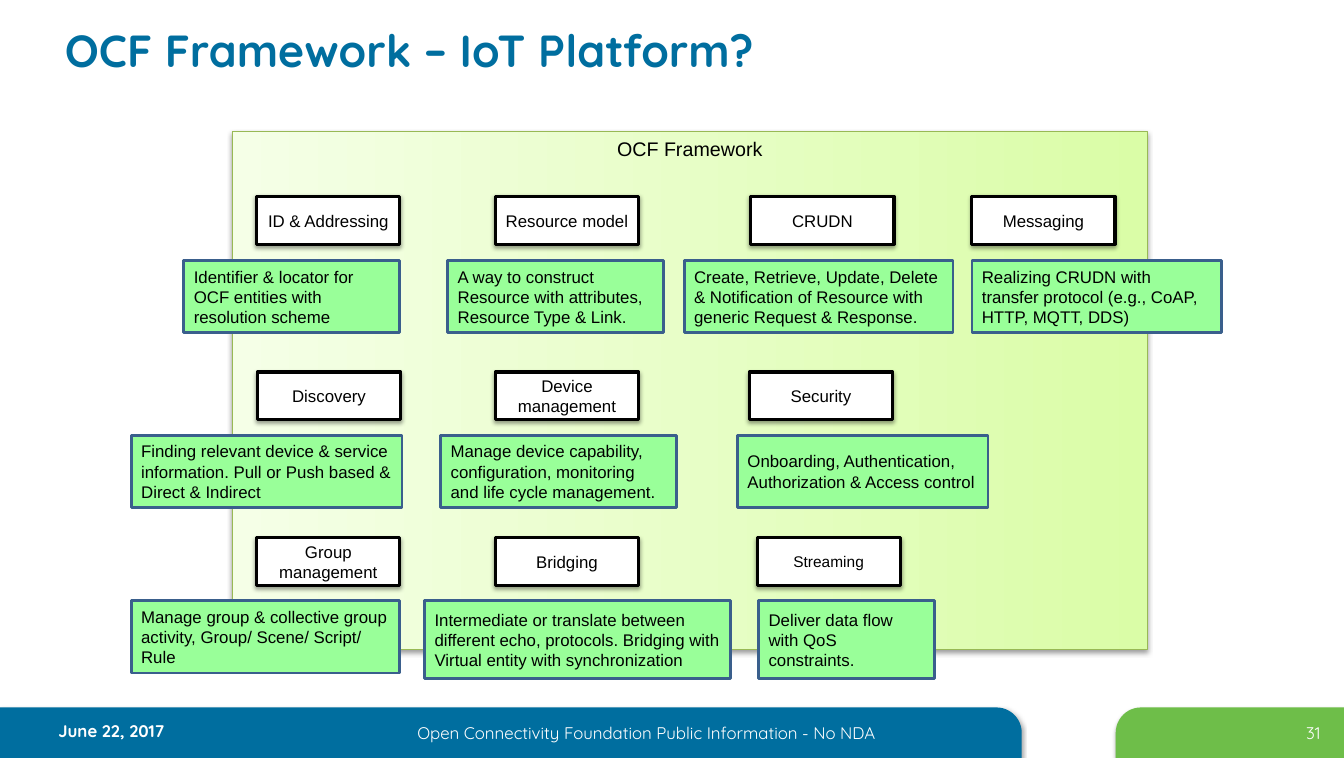
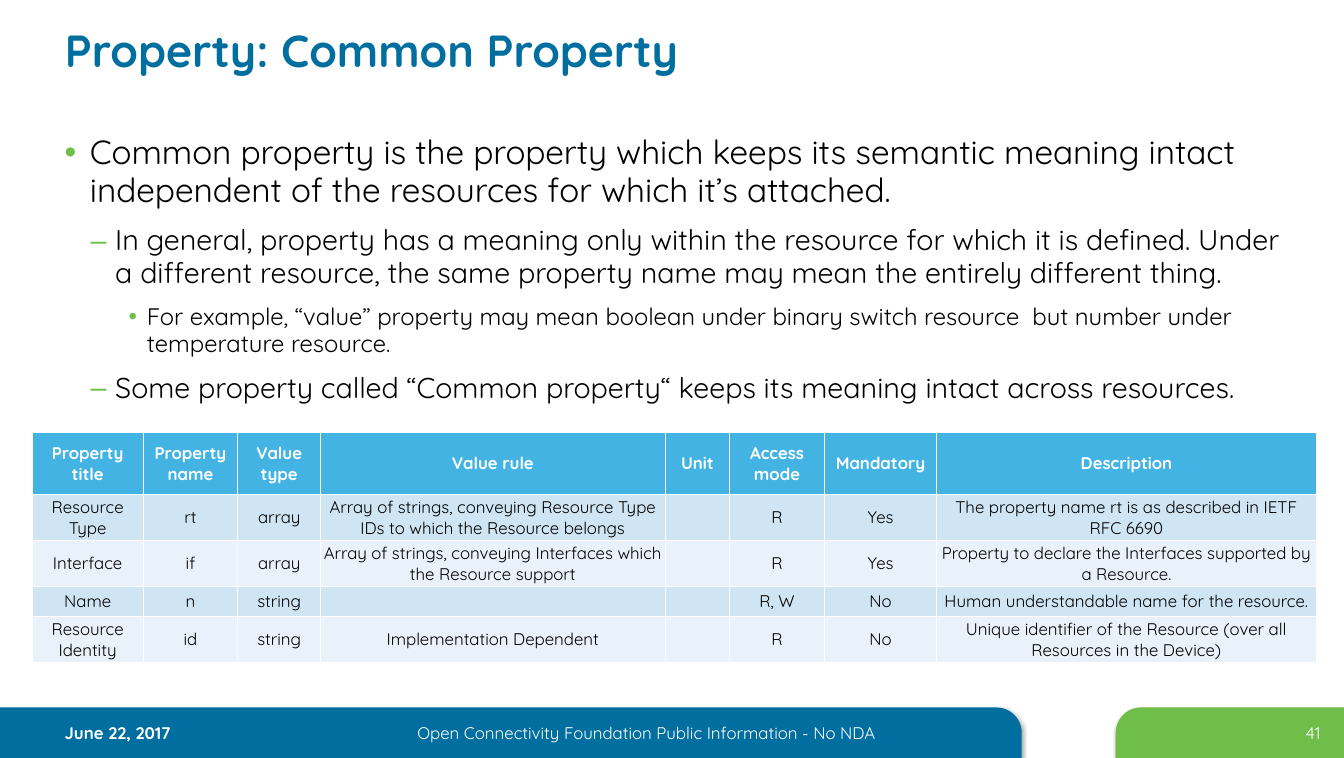
from lxml import etree
from pptx import Presentation
from pptx.dml.color import RGBColor
from pptx.enum import shapes, text
from pptx.oxml import ns
from pptx.util import Pt

BLUE = RGBColor(0x00, 0x6E, 0x9F)
GREEN = RGBColor(0x6E, 0xBE, 0x49)
WHITE = RGBColor(0xFF, 0xFF, 0xFF)
BLACK = RGBColor(0x00, 0x00, 0x00)
FRAME_LEFT = RGBColor(0xF5, 0xFF, 0xE7)
FRAME_RIGHT = RGBColor(0xDA, 0xFD, 0xA7)
FRAME_EDGE = RGBColor(0x98, 0xB9, 0x55)
NOTE_FILL = RGBColor(0x99, 0xFF, 0x99)
NOTE_EDGE = RGBColor(0x3A, 0x5F, 0x8C)
HEADER_FILL = RGBColor(0x43, 0xB3, 0xE3)
ROW_FILLS = [RGBColor(0xE9, 0xF2, 0xFA), RGBColor(0xCF, 0xE5, 0xF4)]
BRAND_FONT = "Quicksand"
DIAGRAM_FONT = "Arial"
LEFT, CENTER, RIGHT = text.PP_ALIGN.LEFT, text.PP_ALIGN.CENTER, text.PP_ALIGN.RIGHT
MIDDLE = text.MSO_ANCHOR.MIDDLE
RECTANGLE = shapes.MSO_SHAPE.RECTANGLE


def write(paragraph, words, size=12, color=BLACK, bold=False, align=LEFT, font=BRAND_FONT):
    paragraph.alignment = align
    run = paragraph.add_run()
    run.text = words
    run.font.name = font
    run.font.size = Pt(size)
    run.font.bold = bold
    run.font.color.rgb = color


def add_block(slide, kind, box, fill, edge=None, edge_width=0, shadow_alpha=0):
    block = slide.shapes.add_shape(kind, *map(Pt, box))
    block.fill.solid()
    block.fill.fore_color.rgb = fill
    if edge is None:
        block.line.fill.background()
    else:
        block.line.color.rgb = edge
        block.line.width = Pt(edge_width)
    block.shadow.inherit = False
    if shadow_alpha:
        effects = block.element.spPr.find(ns.qn("a:effectLst"))
        shadow = etree.SubElement(effects, ns.qn("a:outerShdw"), blurRad=str(Pt(3.1)),
                                  dist=str(Pt(1.7)), dir="5400000", rotWithShape="0")
        tone = etree.SubElement(shadow, ns.qn("a:srgbClr"), val=str(BLACK))
        etree.SubElement(tone, ns.qn("a:alpha"), val=str(shadow_alpha * 1000))
    block.text_frame.word_wrap = True
    return block


prs = Presentation()
prs.slide_width, prs.slide_height = Pt(957.6), Pt(540)
layout = prs.slide_layouts[5]
layout_title = layout.placeholders[0]
layout_title.left, layout_title.top = Pt(39), Pt(7)
layout_title.width, layout_title.height = Pt(811), Pt(57)
layout_title.text_frame.vertical_anchor = MIDDLE

framework = prs.slides.add_slide(layout)
common = prs.slides.add_slide(layout)

bands = [((0, 504, 728, 36), BLUE, False), ((795, 504, 162.6, 36), GREEN, True)]
for number, (box, fill, mirrored) in enumerate(bands):
    band = add_block(framework, shapes.MSO_SHAPE.ROUND_1_RECTANGLE, box, fill, shadow_alpha=35)
    band.adjustments[0] = 0.5
    if mirrored:
        band.element.spPr.find(ns.qn("a:xfrm")).set("flipH", "1")
    band.element.nvSpPr.cNvPr.set("id", str(100 + number))
    layout.shapes.element.insert(2 + number, band.element)

pages = [
    (framework, "OCF Framework – IoT Platform?", "31", (34.5, 510)),
    (common, "Property: Common Property", "41", (39, 511)),
]
for slide, title, page_number, (date_left, date_top) in pages:
    write(slide.shapes.title.text_frame.paragraphs[0], title, size=32, color=BLUE, bold=True)
    footers = [
        ((date_left, date_top, 170, 22), "June 22, 2017", LEFT, True),
        ((235.5, 511, 450.5, 22), "Open Connectivity Foundation Public Information - No NDA",
         CENTER, False),
        ((851.5, 511, 96.5, 22), page_number, RIGHT, False),
    ]
    for box, words, align, bold in footers:
        footer = slide.shapes.add_textbox(*map(Pt, box))
        footer.text_frame.word_wrap = True
        write(footer.text_frame.paragraphs[0], words, color=WHITE, bold=bold, align=align)

frame = add_block(framework, RECTANGLE, (165.5, 94, 652, 369), FRAME_LEFT, FRAME_EDGE, 0.75, 38)
frame.fill.gradient()
frame.fill.gradient_angle = 0
for stop, color in zip(frame.fill.gradient_stops, (FRAME_LEFT, FRAME_RIGHT)):
    stop.color.rgb = color
frame.text_frame.vertical_anchor = text.MSO_ANCHOR.TOP
write(frame.text_frame.paragraphs[0], "OCF Framework", size=14, align=CENTER, font=DIAGRAM_FONT)

feature_rows = [
    (140, 185.5, [
        ("ID & Addressing", 12, 183,
         "Identifier & locator for OCF entities with resolution scheme", 131, 153.5, 51.5),
        ("Resource model", 12, 353,
         "A way to construct Resource with attributes, Resource Type & Link.", 319, 153.5, 51.5),
        ("CRUDN", 12, 535,
         "Create, Retrieve, Update, Delete & Notification of Resource with generic "
         "Request & Response.", 487.5, 191.5, 51.5),
        ("Messaging", 12, 692.5,
         "Realizing CRUDN with transfer protocol (e.g., CoAP, HTTP, MQTT, DDS)",
         692.5, 178, 51.5),
    ]),
    (265, 310, [
        ("Discovery", 12, 183.5,
         "Finding relevant device & service information. Pull or Push based & "
         "Direct & Indirect", 93.5, 193, 51.5),
        ("Device management", 12, 353,
         "Manage device capability, configuration, monitoring and life cycle management.",
         314, 168, 51.5),
        ("Security", 12, 534,
         "Onboarding, Authentication, Authorization & Access control", 525.5, 178.5, 51.5),
    ]),
    (383, 428, [
        ("Group management", 12, 183,
         "Manage group & collective group activity, Group/ Scene/ Script/ Rule",
         93.5, 191, 51.5),
        ("Bridging", 12, 353,
         "Intermediate or translate between different echo, protocols. Bridging with "
         "Virtual entity with synchronization", 302.5, 218, 55.5),
        ("Streaming", 11, 539.5,
         "Deliver data flow with QoS constraints.", 540.5, 125.5, 55.5),
    ]),
]
for label_top, note_top, features in feature_rows:
    for name, name_size, label_left, meaning, note_left, note_width, note_height in features:
        label = add_block(framework, RECTANGLE, (label_left, label_top, 102, 34),
                          WHITE, BLACK, 2.25, 38)
        label.text_frame.margin_left = label.text_frame.margin_right = Pt(6)
        write(label.text_frame.paragraphs[0], name, size=name_size, align=CENTER,
              font=DIAGRAM_FONT)
        note = add_block(framework, RECTANGLE, (note_left, note_top, note_width, note_height),
                         NOTE_FILL, NOTE_EDGE, 2)
        write(note.text_frame.paragraphs[0], meaning, font=DIAGRAM_FONT)
        label.text_frame.vertical_anchor = note.text_frame.vertical_anchor = MIDDLE

level_styles = [("•", 23.8, 18, 18), ("–", 20.4, 36, 17.5), ("•", 17, 58.5, 13)]
points = [
    (0, "Common property is the property which keeps its semantic meaning intact "
        "independent of the resources for which it’s attached."),
    (1, "In general, property has a meaning only within the resource for which it is "
        "defined. Under a different resource, the same property name may mean the "
        "entirely different thing."),
    (2, "For example, “value” property may mean boolean under binary switch resource  "
        "but number under temperature resource."),
    (1, "Some property called “Common property“ keeps its meaning intact across resources."),
]
body = common.shapes.add_textbox(Pt(39), Pt(91.5), Pt(882), Pt(211)).text_frame
body.word_wrap = True
for index, (level, words) in enumerate(points):
    mark, size, margin, hanging = level_styles[level]
    point = body.add_paragraph() if index else body.paragraphs[0]
    point.level = level
    point.line_spacing = 0.96
    point.space_before = Pt(round(size * 0.2) if index else 0)
    point.space_after = Pt(6)
    properties = point._p.get_or_add_pPr()
    properties.set("marL", str(Pt(margin)))
    properties.set("indent", str(-Pt(hanging)))
    mark_color = etree.SubElement(properties, ns.qn("a:buClr"))
    etree.SubElement(mark_color, ns.qn("a:srgbClr"), val=str(GREEN))
    etree.SubElement(properties, ns.qn("a:buFont"), typeface="Arial")
    etree.SubElement(properties, ns.qn("a:buChar"), char=mark)
    write(point, words, size=size)

property_rows = [
    ["Property title", "Property name", "Value type", "Value rule", "Unit", "Access mode",
     "Mandatory", "Description"],
    ["Resource Type", "rt", "array",
     "Array of strings, conveying Resource Type IDs to which the Resource belongs", "", "R",
     "Yes", "The property name rt is as described in IETF RFC 6690"],
    ["Interface", "if", "array",
     "Array of strings, conveying Interfaces which the Resource support", "", "R",
     "Yes", "Property to declare the Interfaces supported by a Resource."],
    ["Name", "n", "string", "", "", "R, W", "No",
     "Human understandable name for the resource."],
    ["Resource Identity", "id", "string", "Implementation Dependent", "", "R", "No",
     "Unique identifier of the Resource (over all Resources in the Device)"],
]
column_widths = [79, 67.5, 59, 245.5, 46, 67.5, 80, 270.5]
row_heights = [44, 33, 33, 21, 33]
properties_table = common.shapes.add_table(
    len(property_rows), len(column_widths), Pt(23), Pt(308),
    Pt(sum(column_widths)), Pt(sum(row_heights))).table
for column, width in zip(properties_table.columns, column_widths):
    column.width = Pt(width)
for row_index, (entries, height) in enumerate(zip(property_rows, row_heights)):
    properties_table.rows[row_index].height = Pt(height)
    is_header = row_index == 0
    for column_index, entry in enumerate(entries):
        cell = properties_table.cell(row_index, column_index)
        cell.vertical_anchor = MIDDLE
        cell.fill.solid()
        cell.fill.fore_color.rgb = HEADER_FILL if is_header else ROW_FILLS[row_index % 2]
        if not is_header:
            cell.margin_left = cell.margin_right = Pt(2)
            cell.margin_top = cell.margin_bottom = Pt(1.4)
        paragraph = cell.text_frame.paragraphs[0]
        if entry:
            write(paragraph, entry, color=WHITE if is_header else BLACK, bold=is_header,
                  align=CENTER)
        else:
            etree.SubElement(paragraph._p, ns.qn("a:endParaRPr"), sz="1200")

prs.save("out.pptx")
